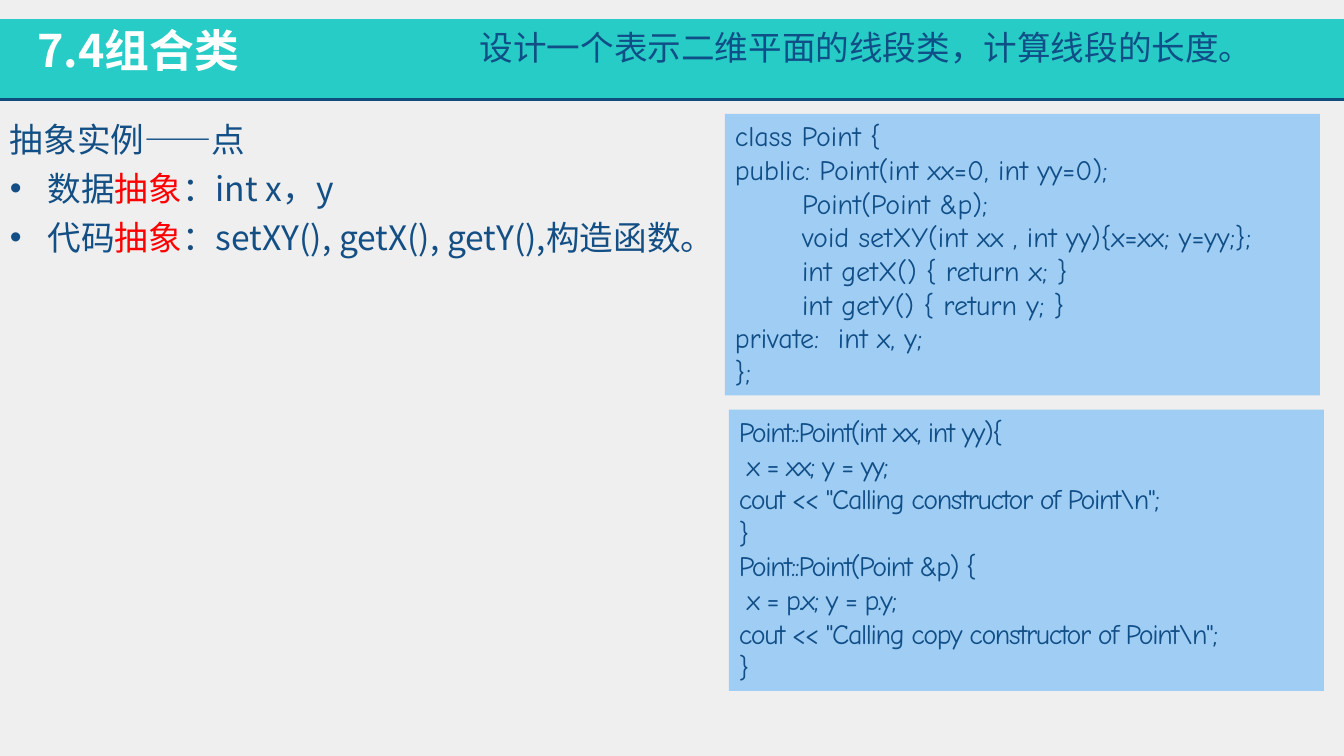
from dataclasses import dataclass

from pptx import Presentation
from pptx.dml.color import RGBColor
from pptx.enum.lang import MSO_LANGUAGE_ID as Language
from pptx.enum.shapes import MSO_CONNECTOR as Connector, MSO_SHAPE as Shape
from pptx.enum.text import MSO_ANCHOR as Anchor, MSO_AUTO_SIZE as AutoSize, PP_ALIGN as Align
from pptx.oxml.ns import qn
from pptx.oxml.xmlchemy import OxmlElement
from pptx.slide import Slide
from pptx.text.text import TextFrame, _Paragraph as Paragraph, _Run as Run
from pptx.util import Pt


@dataclass(frozen=True)
class Theme:
    page: str = "EFEFEF"
    band: str = "26CCC5"
    rule: str = "104D7E"
    panel: str = "9FCDF3"
    white: str = "FFFFFF"
    ink: str = "104E87"
    body: str = "134F85"
    accent: str = "FF0000"
    han_font: str = "Noto Sans CJK JP"
    code_font: str = "Comic Neue"
    title_size: int = 32
    body_size: int = 24
    code_size: int = 20
    body_gap: int = 6
    indent: float = 27
    tab: int = 48


@dataclass(frozen=True)
class Area:
    left: float
    top: float
    width: float
    height: float

    def lengths(self) -> tuple[Pt, Pt, Pt, Pt]:
        return Pt(self.left), Pt(self.top), Pt(self.width), Pt(self.height)


@dataclass(frozen=True)
class Heading:
    area: Area
    text: str
    size: int
    color: str
    bold: bool = False


@dataclass(frozen=True)
class CodePanel:
    area: Area
    code: str
    tracking: int = 0


@dataclass(frozen=True)
class Point:
    spans: tuple[tuple[str, str], ...]
    bullet: bool = True


THEME = Theme()
WIDTH, HEIGHT = 960, 540
BAND = Area(0, 13.7, WIDTH, 57.6)
RULE_TOP = 71.2
BODY = Area(0, 81.4, 517.7, 123.8)

HEADINGS = (
    Heading(Area(19.4, 13, 632.2, 46.1), "7.4组合类", THEME.title_size, THEME.white, True),
    Heading(Area(335.5, 15.8, 586.8, 36), "设计一个表示二维平面的线段类，计算线段的长度。",
            THEME.body_size, THEME.ink),
)

POINTS = (
    Point((("抽象实例——点", THEME.body),), bullet=False),
    Point((("数据", THEME.body), ("抽象", THEME.accent), ("：int x，y", THEME.body))),
    Point((("代码", THEME.body), ("抽象", THEME.accent),
           ("：setXY(), getX(), getY(),构造函数。", THEME.body))),
)

CODE_PANELS = (
    CodePanel(Area(520.6, 292.5, 425, 201), r"""Point::Point(int xx, int yy){
 x = xx; y = yy;
cout << "Calling constructor of Point\n";
}
Point::Point(Point &p) {
 x = p.x; y = p.y;
cout << "Calling copy constructor of Point\n";
}""", tracking=-100),
    CodePanel(Area(517.8, 81.4, 425, 201), """class Point {
public: Point(int xx=0, int yy=0);
  \tPoint(Point &p);
\tvoid setXY(int xx , int yy){x=xx; y=yy;};
\tint getX() { return x; }
\tint getY() { return y; }
private:  int x, y;
};"""),
)


def style(span: Run, face: str, size: int, color: str, bold: bool = False) -> None:
    span.font.size = Pt(size)
    span.font.bold = bold
    span.font.color.rgb = RGBColor.from_string(color)
    span.font.name = face
    east_asian = OxmlElement("a:ea")
    east_asian.set("typeface", face)
    span.font._element.find(qn("a:latin")).addnext(east_asian)


def add_text_box(page: Slide, area: Area) -> TextFrame:
    frame = page.shapes.add_textbox(*area.lengths()).text_frame
    frame.word_wrap = True
    frame.auto_size = AutoSize.SHAPE_TO_FIT_TEXT
    return frame


def add_rectangle(page: Slide, area: Area, color: str) -> TextFrame:
    shape = page.shapes.add_shape(Shape.RECTANGLE, *area.lengths())
    shape.shadow.inherit = False
    shape.fill.solid()
    shape.fill.fore_color.rgb = RGBColor.from_string(color)
    shape.line.fill.background()
    return shape.text_frame


def add_rule(page: Slide) -> None:
    rule = page.shapes.add_connector(Connector.STRAIGHT, 0, Pt(RULE_TOP), Pt(WIDTH), Pt(RULE_TOP))
    rule.line.color.rgb = RGBColor.from_string(THEME.rule)
    rule.line.width = Pt(2)
    rule._element.spPr.append(OxmlElement("a:effectLst"))


def add_heading(page: Slide, heading: Heading) -> None:
    frame = add_text_box(page, heading.area)
    frame.text = heading.text
    span = frame.paragraphs[0].runs[0]
    style(span, THEME.han_font, heading.size, heading.color, heading.bold)
    span.font.language_id = Language.SIMPLIFIED_CHINESE


def add_tab_stop(para: Paragraph) -> None:
    stops = OxmlElement("a:tabLst")
    stop = OxmlElement("a:tab")
    stop.set("pos", str(Pt(THEME.tab)))
    stop.set("algn", "l")
    stops.append(stop)
    para._p.get_or_add_pPr().append(stops)


def add_code_panel(page: Slide, panel: CodePanel) -> None:
    frame = add_rectangle(page, panel.area, THEME.panel)
    frame.word_wrap = True
    frame.auto_size = AutoSize.SHAPE_TO_FIT_TEXT
    frame.vertical_anchor = Anchor.TOP
    frame.text = panel.code
    for para in frame.paragraphs:
        para.alignment = Align.LEFT
        if "\t" in para.text:
            add_tab_stop(para)
        for span in para.runs:
            style(span, THEME.code_font, THEME.code_size, THEME.ink)
            if panel.tracking:
                span.font._element.set("spc", str(panel.tracking))


def add_bullet(para: Paragraph) -> None:
    properties = para._p.get_or_add_pPr()
    properties.set("marL", str(Pt(THEME.indent)))
    properties.set("indent", str(-Pt(THEME.indent)))
    face = OxmlElement("a:buFont")
    face.set("typeface", "Arial")
    mark = OxmlElement("a:buChar")
    mark.set("char", "•")
    properties.extend((face, mark))


def add_points(page: Slide) -> None:
    frame = add_text_box(page, BODY)
    for index, point in enumerate(POINTS):
        para = frame.add_paragraph() if index else frame.paragraphs[0]
        if point.bullet:
            add_bullet(para)
        if index:
            para.space_before = Pt(THEME.body_gap)
        for text, color in point.spans:
            span = para.add_run()
            span.text = text
            style(span, THEME.han_font, THEME.body_size, color)
            span.font.language_id = Language.SIMPLIFIED_CHINESE


def main() -> None:
    deck = Presentation()
    deck.slide_width, deck.slide_height = Pt(WIDTH), Pt(HEIGHT)
    page = deck.slides.add_slide(deck.slide_layouts[6])
    page.background.fill.solid()
    page.background.fill.fore_color.rgb = RGBColor.from_string(THEME.page)
    add_rectangle(page, BAND, THEME.band)
    add_rule(page)
    for heading in HEADINGS:
        add_heading(page, heading)
    for panel in CODE_PANELS:
        add_code_panel(page, panel)
    add_points(page)
    deck.save("out.pptx")


if __name__ == "__main__":
    main()
